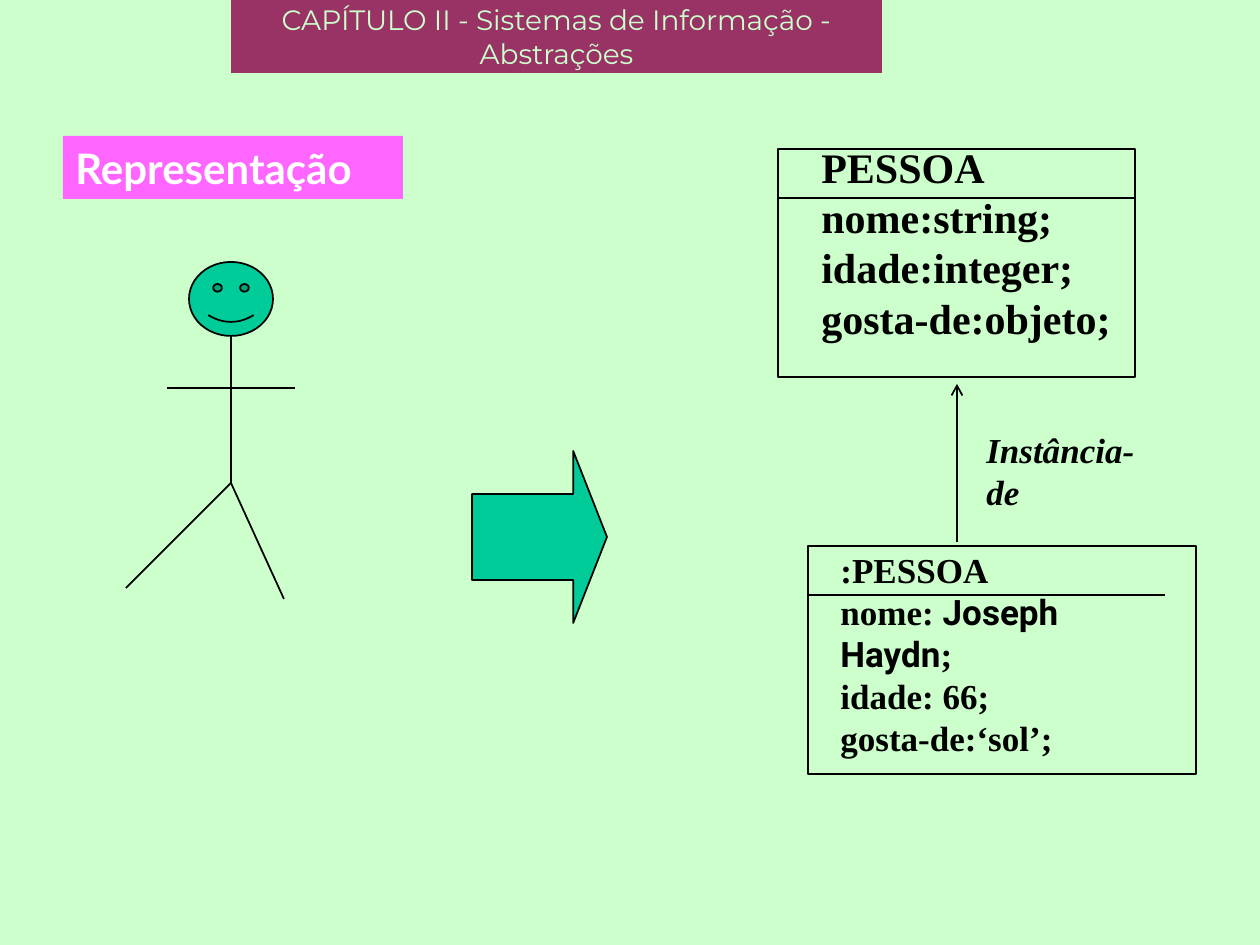
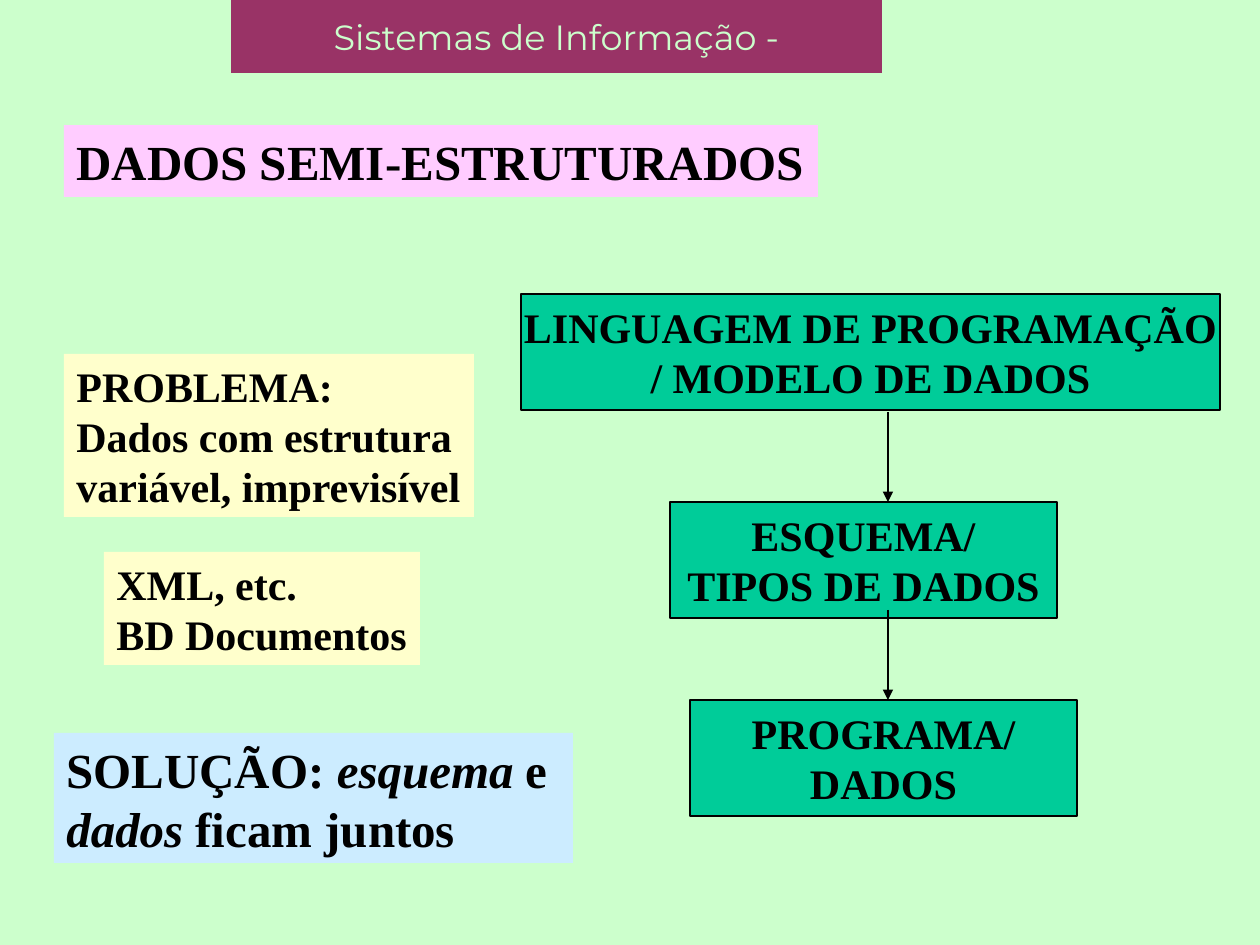
from lxml.etree import SubElement
from pptx import Presentation
from pptx.dml.color import RGBColor
from pptx.enum.shapes import MSO_CONNECTOR, MSO_SHAPE
from pptx.enum.text import MSO_ANCHOR, PP_ALIGN
from pptx.oxml.ns import qn
from pptx.util import Pt

PX = 914400 // 126
COLORS = {
    "page": "CCFFCC", "band": "993366", "ink": "000000", "white": "FFFFFF",
    "green": "00CC99", "magenta": "FF66FF", "pink": "FFCCFF",
    "cream": "FFFFCC", "sky": "CCECFF",
}
SERIF = "Times New Roman"


def color(name):
    """Return the named colour."""
    return RGBColor.from_string(COLORS[name])


def emu(*lengths):
    """Turn pixel lengths into EMU."""
    return [round(n * PX) for n in lengths]


def add_slide(prs, title, size):
    """Add a page with its background and title band."""
    s = prs.slides.add_slide(prs.slide_layouts[6])
    s.background.fill.solid()
    s.background.fill.fore_color.rgb = color("page")
    band = add_box(s, (231, 0, 651, 73), "band")
    write(band, [title], size, "page", "Montserrat", bold=False,
          centered=True, wrap=True)
    return s


def add_box(s, box, fill=None, line=None, kind=MSO_SHAPE.RECTANGLE):
    """Add a shape with an optional fill and outline."""
    sp = s.shapes.add_shape(kind, *emu(*box))
    sp.shadow.inherit = False
    if fill:
        sp.fill.solid()
        sp.fill.fore_color.rgb = color(fill)
    else:
        sp.fill.background()
    if line:
        sp.line.color.rgb = color(line)
        sp.line.width = Pt(1)
    else:
        sp.line.fill.background()
    return sp


def add_line(s, start, end, head=None):
    """Add a thin line, with an arrowhead at its end if one is named."""
    c = s.shapes.add_connector(MSO_CONNECTOR.STRAIGHT, *emu(*start, *end))
    c.line.color.rgb = color("ink")
    c.line.width = Pt(1)
    if head:
        SubElement(c.line._get_or_add_ln(), qn("a:tailEnd"), type=head)
    SubElement(c._element.spPr, qn("a:effectLst"))


def write(sp, lines, size, ink="ink", font=SERIF, bold=True,
          centered=False, wrap=False):
    """Write lines, each a string or a list of (text, overrides) runs."""
    tf = sp.text_frame
    tf.word_wrap = wrap
    tf.vertical_anchor = MSO_ANCHOR.MIDDLE if centered else MSO_ANCHOR.TOP
    for i, line in enumerate(lines):
        p = tf.paragraphs[0] if i == 0 else tf.add_paragraph()
        p.alignment = PP_ALIGN.CENTER if centered else PP_ALIGN.LEFT
        for text, style in [(line, {})] if isinstance(line, str) else line:
            r = p.add_run()
            r.text = text
            r.font.size = Pt(size)
            r.font.bold = bold
            r.font.italic = style.get("italic", False)
            r.font.name = style.get("font", font)
            r.font.color.rgb = color(ink)


def add_text(s, box, lines, size, wrap=False):
    """Add a plain text box."""
    write(s.shapes.add_textbox(*emu(*box)), lines, size, wrap=wrap)


def add_label(s, box, fill, lines, size, **style):
    """Add a filled label without an outline."""
    write(add_box(s, box, fill), lines, size, **style)


def add_person(s, x, y):
    """Draw a stick figure whose head starts at the given height, centred on x."""
    neck, hip = (x, y + 74), (x, y + 221)
    add_box(s, (x - 42, y, 84, 74), "green", "ink", MSO_SHAPE.SMILEY_FACE)
    add_line(s, neck, hip)
    add_line(s, hip, (x - 105, y + 326))
    add_line(s, hip, (x + 53, y + 337))
    add_line(s, (x - 64, y + 126), (x + 64, y + 126))


def add_class(s, box, text_box, lines, size, wrap=False):
    """Draw a class frame with a rule under its name."""
    x, y, w, h = box
    dx, dy, tw, th = text_box
    add_text(s, (x + dx, y + dy, tw, th), lines, size, wrap)
    add_box(s, box, line="ink")
    add_line(s, (x, y + 49), (x + 357, y + 49))


def add_flow(s, x, y):
    """Draw the chain of three boxes joined by arrows."""
    steps = [
        (0, 0, 699, ["LINGUAGEM DE PROGRAMAÇÃO", "/ MODELO DE DADOS"]),
        (149, 208, 387, ["ESQUEMA/", "TIPOS DE DADOS"]),
        (169, 406, 387, ["PROGRAMA/", "DADOS"]),
    ]
    for dx, dy, w, lines in steps:
        sp = add_box(s, (x + dx, y + dy, w, 116), "green", "ink")
        write(sp, lines, 24, centered=True)
    for _, dy, _, _ in steps[1:]:
        add_line(s, (x + 367, y + dy - 90), (x + 367, y + dy), "triangle")


def representation_slide(prs):
    """Build the slide on a person, its class and its instance."""
    s = add_slide(prs, "CAPÍTULO II - Sistemas de Informação - Abstrações", 16)
    add_label(s, (63, 136, 340, 63), "magenta", ["Representação"], 24,
              ink="white", font="Lato", wrap=True)
    add_person(s, 231, 262)
    arrow = add_box(s, (472, 451, 135, 172), "green", "ink",
                    MSO_SHAPE.RIGHT_ARROW)
    arrow.adjustments[1] = 0.25
    add_class(s, (778, 149, 357, 228), (31, -14, 315, 265),
              ["PESSOA", "nome:string;", "idade:integer;",
               "gosta-de:objeto;"], 24)
    name = [("nome: ", {}), ("Joseph Haydn", {"font": "Roboto"}), (";", {})]
    add_class(s, (808, 546, 388, 228), (20, -4, 346, 223),
              [":PESSOA", name, "idade: 66;", "gosta-de:‘sol’;"], 20, True)
    add_line(s, (957, 542), (957, 384), "arrow")
    add_text(s, (974, 422, 200, 54), [[("Instância-de", {"italic": True})]],
             20, True)


def semistructured_slide(prs):
    """Build the slide on semi-structured data."""
    s = add_slide(prs, "Sistemas de Informação -", 20)
    add_label(s, (64, 125, 754, 72), "pink", ["DADOS SEMI-ESTRUTURADOS"], 28)
    add_flow(s, 521, 294)
    add_label(s, (64, 354, 410, 163), "cream",
              ["PROBLEMA:", "Dados com estrutura", "variável, imprevisível"],
              24)
    add_label(s, (104, 552, 316, 113), "cream",
              ["XML, etc.", "BD Documentos"], 24)
    italic = {"italic": True}
    add_label(s, (54, 733, 519, 130), "sky",
              [[("SOLUÇÃO: ", {}), ("esquema", italic), (" e ", {})],
               [("dados ", italic), ("ficam juntos", {})]], 28)


prs = Presentation()
prs.slide_width, prs.slide_height = emu(1260, 945)
representation_slide(prs)
semistructured_slide(prs)
prs.save("out.pptx")
